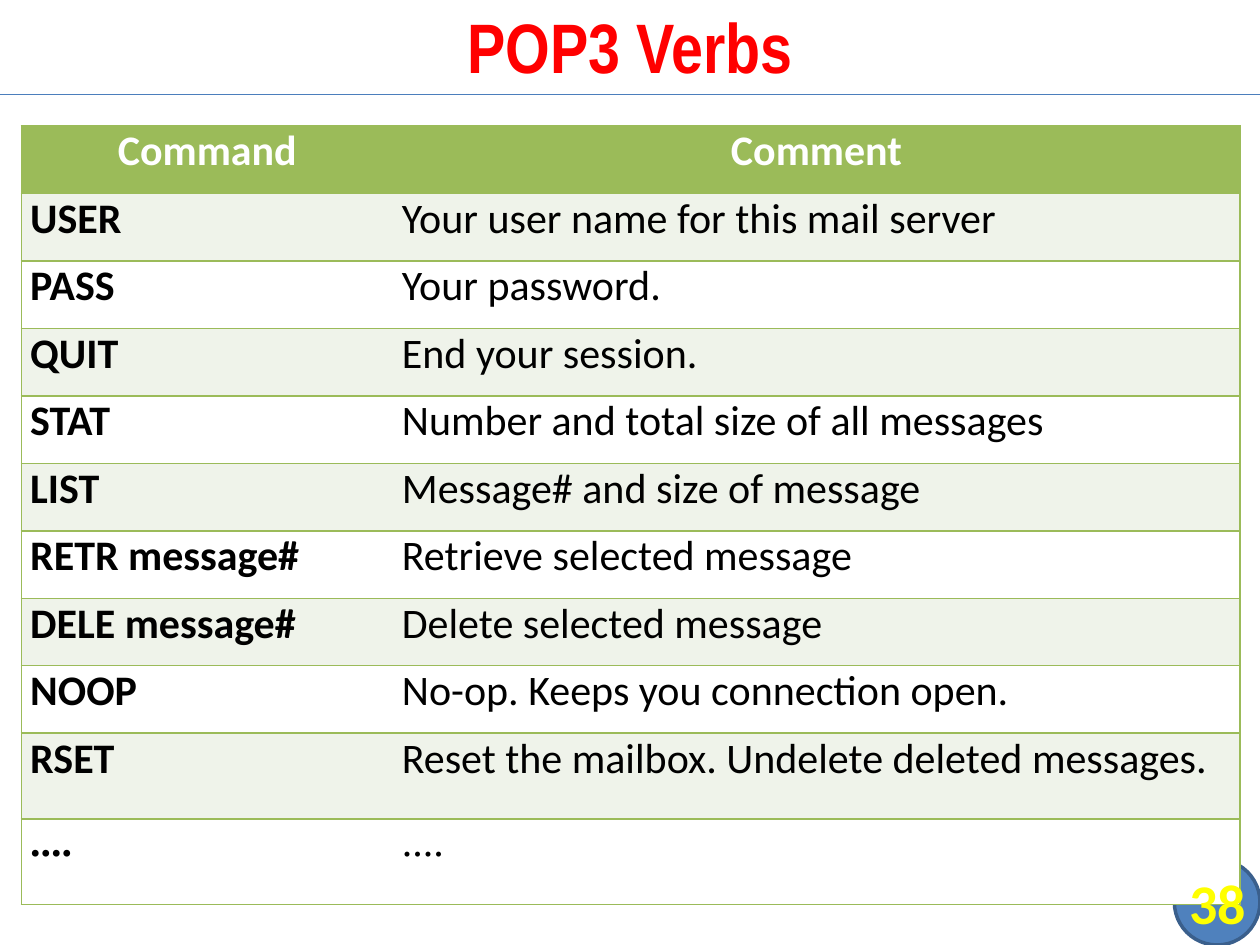
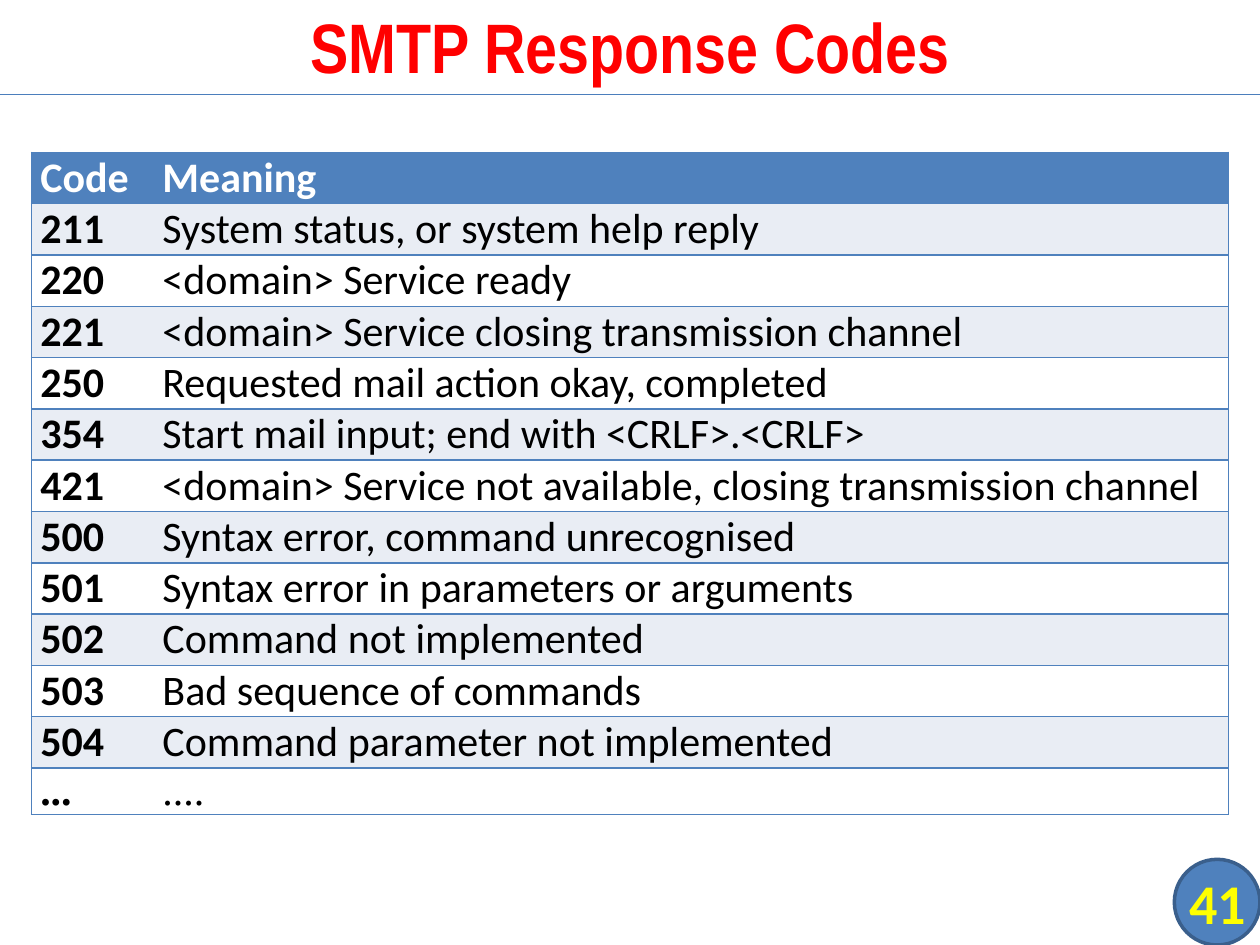
"""Two slides of mail protocol reference tables."""
from dataclasses import dataclass

from lxml.etree import SubElement
from pptx import Presentation
from pptx.dml.color import RGBColor
from pptx.enum.shapes import MSO_CONNECTOR, MSO_SHAPE
from pptx.enum.text import MSO_ANCHOR, PP_ALIGN
from pptx.oxml import parse_xml
from pptx.oxml.ns import nsdecls, qn
from pptx.slide import Slide
from pptx.table import _Cell
from pptx.text.text import TextFrame
from pptx.util import Inches, Pt

WHITE = RGBColor(0xFF, 0xFF, 0xFF)
BLACK = RGBColor(0x00, 0x00, 0x00)
RED = RGBColor(0xFF, 0x00, 0x00)
YELLOW = RGBColor(0xFF, 0xFF, 0x00)
BLUE = RGBColor(0x4F, 0x81, 0xBD)
DARK_BLUE = RGBColor(0x3A, 0x5F, 0x8C)
RULE_BLUE = RGBColor(0x4B, 0x7E, 0xBC)
PALE_BLUE = RGBColor(0xE9, 0xED, 0xF4)
GREEN = RGBColor(0x9B, 0xBB, 0x59)
PALE_GREEN = RGBColor(0xEF, 0xF3, 0xEA)

BODY_FONT = "Calibri"
TITLE_FONT = "Arial Narrow"
DOTS_FONT = "Times New Roman"


@dataclass(frozen=True)
class TableSlide:
    """Content and look of one slide with a title and a table."""
    title: str
    number: int
    rows: list[tuple[str, str]]
    left: float
    top: float
    col_widths: tuple[float, float]
    row_heights: list[float]
    accent: RGBColor
    band: RGBColor
    header_align: PP_ALIGN


POP3 = TableSlide(
    title="POP3 Verbs",
    number=38,
    rows=[
        ("Command", "Comment"),
        ("USER", "Your user name for this mail server"),
        ("PASS", "Your password."),
        ("QUIT", "End your session."),
        ("STAT", "Number and total size of all messages"),
        ("LIST", "Message# and size of message"),
        ("RETR message#", "Retrieve selected message"),
        ("DELE message#", "Delete selected message"),
        ("NOOP", "No-op. Keeps you connection open."),
        ("RSET", "Reset the mailbox. Undelete deleted messages."),
        ("....", "...."),
    ],
    left=0.17, top=1, col_widths=(2.95, 6.72),
    row_heights=[(6.18 - 2 * 0.68) / 9] * 9 + [0.68] * 2,
    accent=GREEN, band=PALE_GREEN, header_align=PP_ALIGN.CENTER,
)

SMTP = TableSlide(
    title="SMTP Response Codes",
    number=41,
    rows=[
        ("Code", "Meaning"),
        ("211", "System status, or system help reply"),
        ("220", "<domain> Service ready"),
        ("221", "<domain> Service closing transmission channel"),
        ("250", "Requested mail action okay, completed"),
        ("354", "Start mail input; end with <CRLF>.<CRLF>"),
        ("421", "<domain> Service not available, closing transmission channel"),
        ("500", "Syntax error, command unrecognised"),
        ("501", "Syntax error in parameters or arguments"),
        ("502", "Command not implemented"),
        ("503", "Bad sequence of commands"),
        ("504", "Command parameter not implemented"),
        ("...", "...."),
    ],
    left=0.25, top=1.21, col_widths=(0.97, 8.53),
    row_heights=[0.4] * 12 + [0.37],
    accent=BLUE, band=PALE_BLUE, header_align=PP_ALIGN.LEFT,
)


def write(tf: TextFrame, text: str, *, size: float, color: RGBColor,
          font: str = BODY_FONT, bold: bool = True,
          align: PP_ALIGN = PP_ALIGN.CENTER) -> None:
    """Put one formatted paragraph into a text frame."""
    p = tf.paragraphs[0]
    p.alignment = align
    r = p.add_run()
    r.text = text
    r.font.name = font
    r.font.size = Pt(size)
    r.font.bold = bold
    r.font.color.rgb = color


def add_label(s: Slide, text: str, box: tuple[float, float, float, float],
              *, inset: float = 0, **style) -> None:
    """Add a vertically centred text box."""
    tf = s.shapes.add_textbox(*map(Inches, box)).text_frame
    tf.word_wrap = True
    tf.vertical_anchor = MSO_ANCHOR.MIDDLE
    tf.margin_left = tf.margin_right = Inches(inset)
    tf.margin_top = tf.margin_bottom = Inches(inset / 2)
    write(tf, text, **style)


def add_frame(s: Slide) -> None:
    """Draw the number badge and the rule under the title."""
    badge = s.shapes.add_shape(MSO_SHAPE.FLOWCHART_CONNECTOR, Inches(9.32),
                               Inches(6.82), Inches(0.68), Inches(0.68))
    badge.shadow.inherit = False
    badge.fill.solid()
    badge.fill.fore_color.rgb = BLUE
    badge.line.color.rgb = DARK_BLUE
    badge.line.width = Pt(2)
    rule = s.shapes.add_connector(MSO_CONNECTOR.STRAIGHT, Inches(0),
                                  Inches(0.75), Inches(10), Inches(0.75))
    rule.line.color.rgb = RULE_BLUE
    rule.line.width = Pt(0.75)
    SubElement(rule._element.spPr, qn("a:effectLst"))


def set_borders(cell: _Cell, color: RGBColor, hidden_side: str) -> None:
    """Line three sides of a cell and clear the remaining one."""
    tc_pr = cell._tc.get_or_add_tcPr()
    for i, side in enumerate("LRTB"):
        fill = ("<a:noFill/>" if side == hidden_side else
                f'<a:solidFill><a:srgbClr val="{color}"/></a:solidFill>')
        tc_pr.insert(i, parse_xml(
            f'<a:ln{side} {nsdecls("a")} w="{Pt(1)}">{fill}</a:ln{side}>'))


def add_banded_table(s: Slide, spec_slide: TableSlide) -> None:
    """Add the two-column table with a header and alternating bands."""
    t = spec_slide
    tbl = s.shapes.add_table(
        len(t.rows), 2, Inches(t.left), Inches(t.top),
        Inches(sum(t.col_widths)), Inches(sum(t.row_heights))).table
    tbl.horz_banding = False
    for col, width in zip(tbl.columns, t.col_widths):
        col.width = Inches(width)
    for i, (texts, height) in enumerate(zip(t.rows, t.row_heights)):
        tbl.rows[i].height = Inches(height)
        header = i == 0
        fill = t.accent if header else t.band if i % 2 else WHITE
        for j, text in enumerate(texts):
            cell = tbl.cell(i, j)
            cell.margin_left = cell.margin_right = Inches(0.07)
            cell.margin_top = cell.margin_bottom = 0
            cell.fill.solid()
            cell.fill.fore_color.rgb = fill
            set_borders(cell, t.accent, "L" if j else "R")
            write(cell.text_frame, text, size=24,
                  font=BODY_FONT if text.strip(".") else DOTS_FONT,
                  color=WHITE if header else BLACK, bold=header or j == 0,
                  align=t.header_align if header else PP_ALIGN.LEFT)


def add_table_slide(prs: Presentation, t: TableSlide) -> None:
    """Build one complete slide."""
    s = prs.slides.add_slide(prs.slide_layouts[6])
    add_frame(s)
    add_banded_table(s, t)
    add_label(s, t.title, (0, -0.03, 10, 0.78), inset=0.1,
              size=40, color=RED, font=TITLE_FONT)
    add_label(s, str(t.number), (9.33, 6.82, 0.67, 0.68),
              size=32, color=YELLOW)


def main() -> None:
    """Create and save the presentation."""
    prs = Presentation()
    prs.slide_width = Inches(10)
    prs.slide_height = Inches(7.5)
    for t in (POP3, SMTP):
        add_table_slide(prs, t)
    prs.save("out.pptx")


if __name__ == "__main__":
    main()
